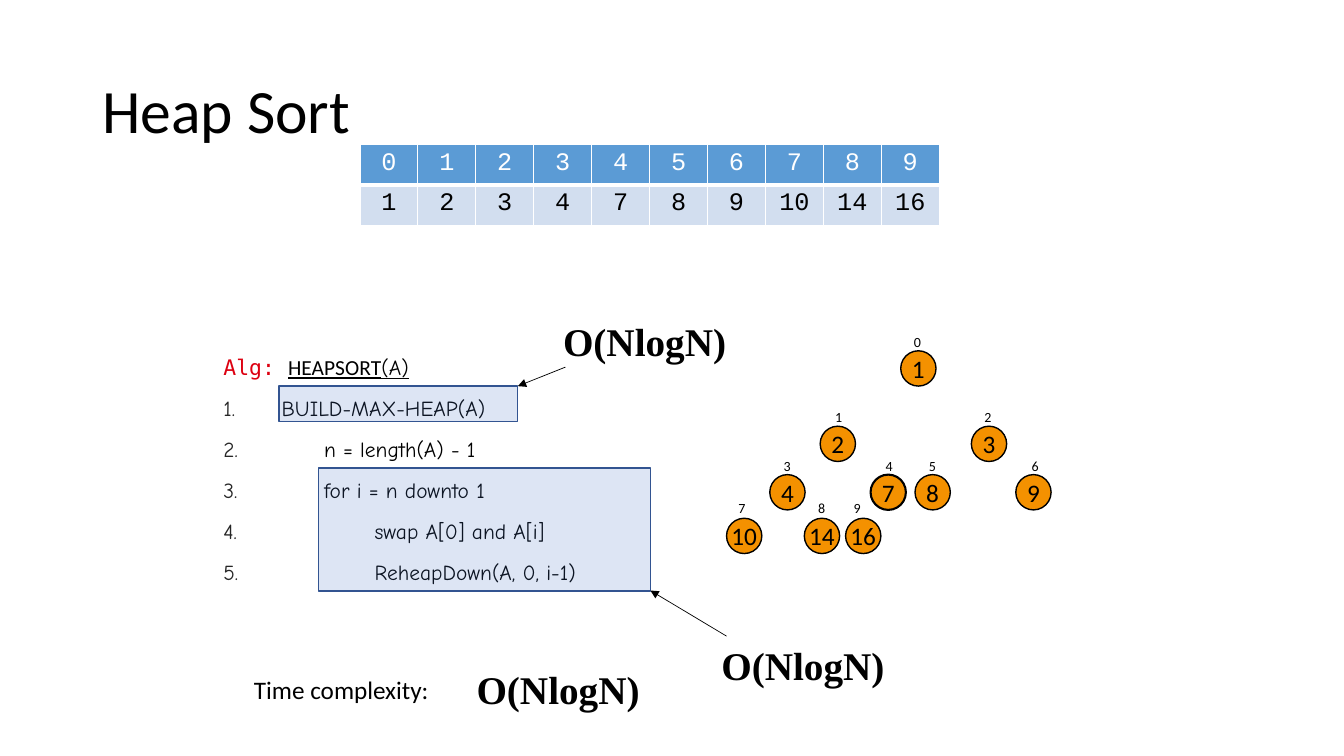
from lxml.etree import SubElement
from pptx import Presentation
from pptx.dml.color import RGBColor
from pptx.enum.shapes import MSO_CONNECTOR, MSO_SHAPE
from pptx.enum.text import MSO_ANCHOR, MSO_AUTO_SIZE, PP_ALIGN
from pptx.oxml.ns import qn
from pptx.util import Cm, Pt

BLACK, WHITE = "000000", "FFFFFF"
SORTED_VALUES = [1, 2, 3, 4, 7, 8, 9, 10, 14, 16]


def color(hex_code):
    return RGBColor.from_string(hex_code)


def add_run(paragraph, text, size, font="Calibri", hex_code=BLACK, bold=False, underline=False):
    run = paragraph.add_run()
    run.text = text
    run.font.size = Pt(size)
    run.font.name = font
    run.font.bold = bold
    run.font.underline = underline
    run.font.color.rgb = color(hex_code)


def add_text_box(slide, left, top, width, height, wrap=True, grow=True):
    box = slide.shapes.add_textbox(Cm(left), Cm(top), Cm(width), Cm(height))
    box.text_frame.word_wrap = wrap
    box.text_frame.auto_size = MSO_AUTO_SIZE.SHAPE_TO_FIT_TEXT if grow else MSO_AUTO_SIZE.NONE
    return box.text_frame


def add_filled_shape(slide, kind, left, top, width, height, fill, line, line_width=1):
    shape = slide.shapes.add_shape(kind, Cm(left), Cm(top), Cm(width), Cm(height))
    shape.shadow.inherit = False
    shape.fill.solid()
    shape.fill.fore_color.rgb = color(fill)
    shape.line.color.rgb = color(line)
    shape.line.width = Pt(line_width)
    return shape


def add_title(slide, left, top, width, height):
    frame = add_text_box(slide, left, top, width, height, grow=False)
    frame.vertical_anchor = MSO_ANCHOR.MIDDLE
    paragraph = frame.paragraphs[0]
    paragraph.line_spacing = 0.9
    add_run(paragraph, "Heap Sort", 44)


def add_borders(cell, bottom_width):
    properties = cell._tc.get_or_add_tcPr()
    for side, width in (("L", 1), ("R", 1), ("T", 1), ("B", bottom_width)):
        line = SubElement(properties, qn(f"a:ln{side}"), w=str(Pt(width)))
        fill = SubElement(line, qn("a:solidFill"))
        SubElement(fill, qn("a:srgbClr"), val=WHITE)


def add_array_table(slide, left, top, width, height):
    rows = [  # values, fill, text colour, bottom border
        (range(len(SORTED_VALUES)), "5B9BD5", WHITE, 3),
        (SORTED_VALUES, "D2DEEF", BLACK, 1),
    ]
    table = slide.shapes.add_table(len(rows), len(SORTED_VALUES), Cm(left), Cm(top),
                                   Cm(width), Cm(height)).table
    table.horz_banding = False
    for row, (values, fill, text_color, bottom_width) in enumerate(rows):
        for column, value in enumerate(values):
            cell = table.cell(row, column)
            add_borders(cell, bottom_width)
            cell.fill.solid()
            cell.fill.fore_color.rgb = color(fill)
            paragraph = cell.text_frame.paragraphs[0]
            paragraph.alignment = PP_ALIGN.CENTER
            add_run(paragraph, str(value), 18, "Courier New", text_color)


def add_heap_tree(slide, left, top):
    diameter = 0.89
    level_tops = [0.56, 2.46, 3.68, 4.78]
    label_rises = [0.56, 0.56, 0.56, 0.6]
    # Left edge of each node, and shift of its index label
    nodes = [(4.39, 0.08), (2.36, 0.13), (6.17, 0.08), (1.09, 0.1), (3.63, 0.13),
             (4.75, 0.1), (7.29, 0.15), (0, 0.05), (1.96, 0.1), (3, -0.05)]
    for index, (value, (node_left, shift)) in enumerate(zip(SORTED_VALUES, nodes)):
        level = (index + 1).bit_length() - 1
        x, y = left + node_left, top + level_tops[level]
        node = add_filled_shape(slide, MSO_SHAPE.OVAL, x, y, diameter, diameter, "F49100",
                                BLACK, 1.5 if index == 4 else 1)
        frame = node.text_frame
        frame.word_wrap = False
        frame.vertical_anchor = MSO_ANCHOR.MIDDLE
        frame.paragraphs[0].alignment = PP_ALIGN.CENTER
        add_run(frame.paragraphs[0], str(value), 18)
        label = add_text_box(slide, x + shift, y - label_rises[level], 0.71, 0.69, wrap=False)
        add_run(label.paragraphs[0], str(index), 10)


def add_number(paragraph):
    properties = paragraph._p.get_or_add_pPr()
    bullet_color = SubElement(properties, qn("a:buClr"))
    SubElement(bullet_color, qn("a:srgbClr"), val="262626")
    SubElement(properties, qn("a:buAutoNum"), type="arabicPeriod")


def add_algorithm(slide, left, top, width, height):
    size, code_font = 15.3, "Comic Neue"
    frame = add_text_box(slide, left, top, width, height, grow=False)
    heading = frame.paragraphs[0]
    add_run(heading, "Alg: ", size, "DejaVu Sans Mono", "DD0111")
    add_run(heading, "HEAPSORT", size, underline=True)
    add_run(heading, "(A)", size, code_font, underline=True)
    for step in ("BUILD-MAX-HEAP(A)", "\tn = length(A) - 1", "\tfor i = n downto 1",
                 "\t\tswap A[0] and A[i]", "\t\tReheapDown(A, 0, i-1)"):
        paragraph = frame.add_paragraph()
        add_number(paragraph)
        paragraph.space_before = Pt(9)
        add_run(paragraph, step, size, code_font)
    for paragraph in frame.paragraphs:
        paragraph.line_spacing = 1.1
        properties = paragraph._p.get_or_add_pPr()
        properties.set("marL", str(Cm(1.47)))
        properties.set("indent", str(Cm(-1.47)))

    # Translucent highlights: the loop, then the heap building
    for x, y, box_width, box_height in ((2.64, 3.05, 8.38, 3.1), (1.65, 0.99, 6.02, 0.89)):
        highlight = add_filled_shape(slide, MSO_SHAPE.RECTANGLE, left + x, top + y,
                                     box_width, box_height, "4472C4", "325491")
        fill_color = highlight._element.spPr.find(qn("a:solidFill"))[0]
        SubElement(fill_color, qn("a:alpha"), val="18000")


def add_complexity(slide, left, top):
    frame = add_text_box(slide, left, top, 4.67, 1.45, wrap=False)
    add_run(frame.paragraphs[0], "O(NlogN)", 28, "Times New Roman", bold=True)


def add_arrow(slide, start, end):
    arrow = slide.shapes.add_connector(MSO_CONNECTOR.STRAIGHT, *map(Cm, start + end))
    arrow.line.color.rgb = color(BLACK)
    arrow.line.width = Pt(0.5)
    SubElement(arrow.line._get_or_add_ln(), qn("a:tailEnd"), type="triangle")
    SubElement(arrow._element.spPr, qn("a:effectLst"))


def add_time_complexity(slide, left, top):
    frame = add_text_box(slide, left, top + 0.23, 10.16, 1.02)
    add_run(frame.paragraphs[0], "Time complexity:", 18)
    add_complexity(slide, left + 5.61, top)


def main():
    presentation = Presentation()
    presentation.slide_width, presentation.slide_height = Cm(33.87), Cm(19.05)
    slide = presentation.slides.add_slide(presentation.slide_layouts[6])
    add_title(slide, 2.33, 1.01, 29.21, 3.68)
    add_heap_tree(slide, 18.31, 8.28)
    add_array_table(slide, 9.07, 3.63, 14.6, 2.06)
    add_algorithm(slide, 5.38, 8.74, 14.81, 6.15)
    # Cost of each highlighted part
    add_complexity(slide, 13.94, 7.87)
    add_complexity(slide, 17.93, 16.03)
    add_arrow(slide, (14.25, 9.25), (13.05, 9.73))
    add_arrow(slide, (18.31, 16.03), (16.39, 14.88))
    add_time_complexity(slide, 6.15, 16.64)
    presentation.save("out.pptx")


if __name__ == "__main__":
    main()
